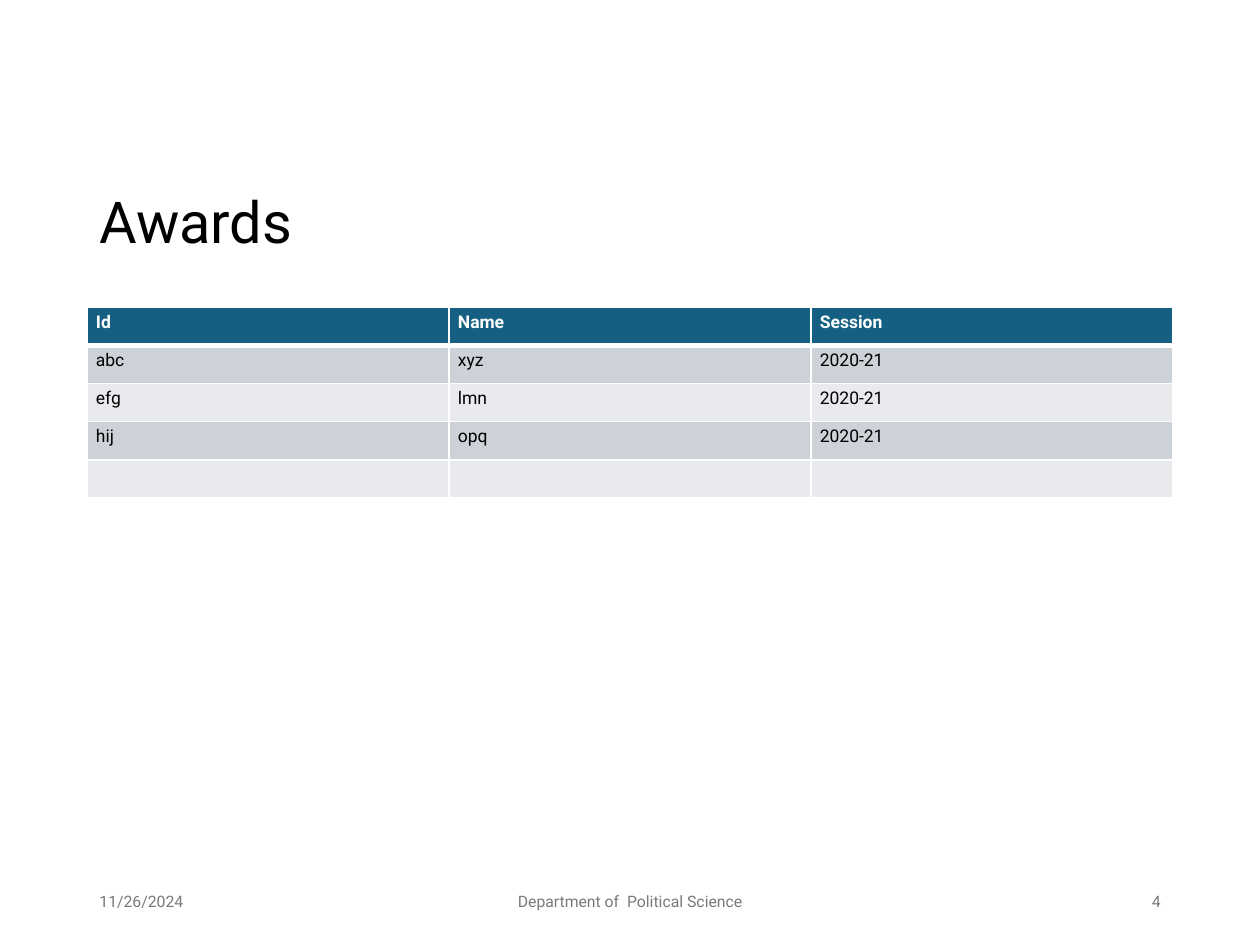
from lxml.etree import SubElement
from pptx import Presentation
from pptx.dml.color import RGBColor
from pptx.enum.text import MSO_ANCHOR, PP_ALIGN
from pptx.oxml.ns import qn
from pptx.util import Pt

FONT = "Roboto"
BLACK = RGBColor(0x00, 0x00, 0x00)
WHITE = RGBColor(0xFF, 0xFF, 0xFF)
GREY = RGBColor(0x79, 0x79, 0x79)
TEAL = RGBColor(0x15, 0x60, 0x82)
BAND_DARK = RGBColor(0xCC, 0xD2, 0xD8)
BAND_LIGHT = RGBColor(0xE8, 0xEA, 0xED)

LEFT, WIDTH = 87, 1086
FOOTER_TOP, FOOTER_HEIGHT = 876, 50
AWARDS = [
    ("Id", "Name", "Session"),
    ("abc", "xyz", "2020-21"),
    ("efg", "lmn", "2020-21"),
    ("hij", "opq", "2020-21"),
    ("", "", ""),
]


def px(n):
    """Turn pixels at 126 to the inch into EMU."""
    return round(n * 914400 / 126)


class SlideBuilder:
    """Holds the text style and the current slide."""

    def __init__(self, slide, font):
        """Keep the slide and the font name."""
        self.slide = slide
        self.font = font

    def run(self, p, text, size, color, bold=False):
        """Add one styled run to a paragraph."""
        r = p.add_run()
        r.text = text
        r.font.name = self.font
        r.font.size = Pt(size)
        r.font.bold = bold
        r.font.color.rgb = color

    def text(self, box, text, size, color, align=PP_ALIGN.LEFT, spacing=None):
        """Add a vertically centred text box."""
        tf = self.slide.shapes.add_textbox(*map(px, box)).text_frame
        tf.word_wrap = True
        tf.vertical_anchor = MSO_ANCHOR.MIDDLE
        p = tf.paragraphs[0]
        p.alignment = align
        p.line_spacing = spacing
        self.run(p, text, size, color)

    def border(self, cell, side, width):
        """Draw one white cell edge."""
        tc_pr = cell._tc.get_or_add_tcPr()
        ln = SubElement(tc_pr, qn(f"a:ln{side}"), w=str(Pt(width)))
        fill = SubElement(ln, qn("a:solidFill"))
        SubElement(fill, qn("a:srgbClr"), val=str(WHITE))

    def cell(self, cell, text, size, color, fill, bold, edges):
        """Fill one table cell with text, edges and colour."""
        cell.margin_left = cell.margin_right = px(9)
        cell.margin_top = cell.margin_bottom = px(5)
        for side, width in edges.items():
            self.border(cell, side, width)
        cell.fill.solid()
        cell.fill.fore_color.rgb = fill
        p = cell.text_frame.paragraphs[0]
        if text:
            self.run(p, text, size, color, bold)
        else:
            p._p.get_or_add_endParaRPr().set("sz", str(size * 100))

    def table(self, box, rows, size):
        """Add a banded table with a header row."""
        frame = self.slide.shapes.add_table(len(rows), len(rows[0]), *map(px, box))
        table = frame.table
        for i, row in enumerate(rows):
            header = i == 0
            color = WHITE if header else BLACK
            fill = TEAL if header else BAND_DARK if i % 2 else BAND_LIGHT
            edges = {"L": 1, "R": 1, "T": 3 if i == 1 else 1, "B": 3 if header else 1}
            for j, text in enumerate(row):
                self.cell(table.cell(i, j), text, size, color, fill, header, edges)


def main():
    """Build the awards slide and save it."""
    prs = Presentation()
    prs.slide_width, prs.slide_height = px(1260), px(945)
    s = SlideBuilder(prs.slides.add_slide(prs.slide_layouts[6]), FONT)

    s.text((LEFT, 156, WIDTH, 137), "Awards", 33, BLACK, spacing=0.9)
    s.table((LEFT, 307, WIDTH, 191), AWARDS, 10)

    footers = [
        (LEFT, 284, "11/26/2024", PP_ALIGN.LEFT),
        (417, 426, "Department of  Political Science", PP_ALIGN.CENTER),
        (889, 284, "4", PP_ALIGN.RIGHT),
    ]
    for left, width, text, align in footers:
        s.text((left, FOOTER_TOP, width, FOOTER_HEIGHT), text, 9, GREY, align)

    prs.save("out.pptx")


if __name__ == "__main__":
    main()
